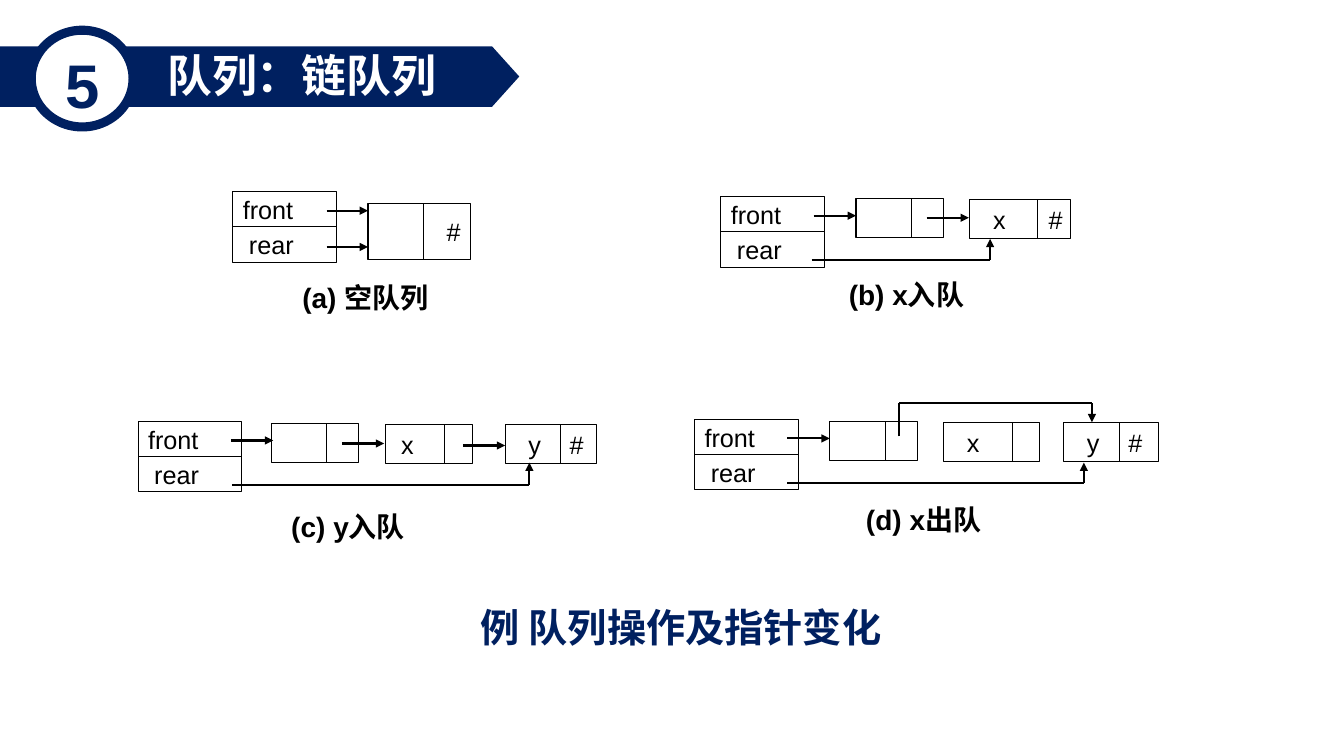
from dataclasses import dataclass

from lxml import etree
from pptx import Presentation
from pptx.dml.color import RGBColor
from pptx.enum.shapes import MSO_CONNECTOR, MSO_SHAPE
from pptx.enum.text import MSO_ANCHOR, MSO_AUTO_SIZE, PP_ALIGN
from pptx.oxml.ns import qn
from pptx.util import Inches, Pt

RECT, OVAL = MSO_SHAPE.RECTANGLE, MSO_SHAPE.OVAL
STRAIGHT = MSO_CONNECTOR.STRAIGHT
TOP, MIDDLE = MSO_ANCHOR.TOP, MSO_ANCHOR.MIDDLE
LEFT, CENTER = PP_ALIGN.LEFT, PP_ALIGN.CENTER
NO_FIT = MSO_AUTO_SIZE.NONE
HEX = {"navy": "002060", "white": "FFFFFF", "black": "000000"}
COLOR = {name: RGBColor.from_string(code) for name, code in HEX.items()}
LABEL = {"size": Pt(18), "bold": False, "name": "Arial"}
CAPTION = {"size": Pt(20), "bold": True, "name": "Arial"}
THIN, THICK = 0.75, 1.5
ROW_W, ROW_H = 1.03, 0.35

Point = tuple[float, float]
Box = tuple[float, float, float, float]


@dataclass
class Node:
    box: Box
    cut: float
    data: str = ""
    inset: float = 0.23
    link: str = ""
    gap: float = 0.09


@dataclass
class Queue:
    caption: str
    spot: Box
    head: Point
    nodes: list[Node]
    arrows: list[list[Point]]


QUEUES = [
    Queue("(a) 空队列", (2.9, 2.73, 1.34, 0.43), (2.31, 1.9),
          [Node((3.65, 2.02, 1.02, 0.55), 0.55, link="#", gap=0.23)],
          [[(3.24, 2.09), (3.65, 2.09)],
           [(3.24, 2.45), (3.65, 2.45)]]),
    Queue("(b) x入队", (8.32, 2.7, 1.34, 0.43), (7.15, 1.95),
          [Node((8.49, 1.97, 0.87, 0.39), 0.55),
           Node((9.62, 1.98, 1, 0.39), 0.67, "x", link="#", gap=0.11)],
          [[(8.07, 2.14), (8.49, 2.14)],
           [(9.19, 2.16), (9.61, 2.16)],
           [(8.05, 2.58), (9.82, 2.58), (9.82, 2.37)]]),
    Queue("(c) y入队", (2.79, 5.01, 1.49, 0.43), (1.37, 4.18),
          [Node((2.69, 4.2, 0.87, 0.39), 0.55),
           Node((3.82, 4.21, 0.87, 0.39), 0.59, "x", 0.16),
           Node((5.01, 4.21, 0.91, 0.39), 0.55, "y", link="#")],
          [[(2.29, 4.37), (2.71, 4.37)],
           [(3.39, 4.4), (3.81, 4.4)],
           [(4.59, 4.42), (5.01, 4.42)],
           [(2.3, 4.81), (5.25, 4.81), (5.25, 4.59)]]),
    Queue("(d) x出队", (8.49, 4.94, 1.49, 0.43), (6.89, 4.16),
          [Node((8.23, 4.18, 0.87, 0.39), 0.55),
           Node((9.36, 4.19, 0.95, 0.39), 0.68, "x"),
           Node((10.55, 4.19, 0.94, 0.39), 0.55, "y", link="#")],
          [[(7.81, 4.35), (8.23, 4.35)],
           [(8.92, 4.33), (8.92, 4), (10.83, 4), (10.83, 4.19)],
           [(7.81, 4.79), (10.75, 4.79), (10.75, 4.59)]]),
]


def write(shape, text: str, style: dict, color: str = "black",
          anchor=MIDDLE, align=LEFT, inset: float = 0.1) -> None:
    frame = shape.text_frame
    frame.text = text
    layout = {"word_wrap": False, "auto_size": NO_FIT,
              "vertical_anchor": anchor, "margin_left": Inches(inset),
              "margin_right": Inches(0.1), "margin_top": Inches(0.05),
              "margin_bottom": Inches(0.05)}
    for key, value in layout.items():
        setattr(frame, key, value)
    para = frame.paragraphs[0]
    para.alignment = align
    font = para.runs[0].font
    for key, value in style.items():
        setattr(font, key, value)
    font.color.rgb = COLOR[color]


def add_text(slide, box: Box, text: str, style: dict, **layout) -> None:
    shape = slide.shapes.add_textbox(*map(Inches, box))
    write(shape, text, style, **layout)


def add_rect(slide, box: Box, text: str = "", inset: float = 0.1) -> None:
    shape = slide.shapes.add_shape(RECT, *map(Inches, box))
    shape.shadow.inherit = False
    shape.fill.background()
    shape.line.color.rgb = COLOR["black"]
    shape.line.width = Pt(THIN)
    if text:
        write(shape, text, LABEL, inset=inset)


def add_line(slide, start: Point, end: Point, width: float,
             tip: bool = False) -> None:
    line = slide.shapes.add_connector(STRAIGHT, *map(Inches, start + end))
    line.line.color.rgb = COLOR["black"]
    line.line.width = Pt(width)
    if tip:
        mark = etree.SubElement(line.line._get_or_add_ln(), qn("a:tailEnd"))
        mark.set("type", "triangle")
    etree.SubElement(line._element.spPr, qn("a:effectLst"))


def add_arrow(slide, points: list[Point]) -> None:
    """Join the points with straight lines, with a tip on the last one."""
    for start, end in zip(points, points[1:]):
        add_line(slide, start, end, THICK, end == points[-1])


def add_node(slide, node: Node) -> None:
    left, top, width, height = node.box
    cut = left + node.cut
    add_rect(slide, node.box, node.data, node.inset)
    add_line(slide, (cut, top), (cut, top + height), THIN)
    if node.link:
        box = (cut, top, width - node.cut, height)
        add_text(slide, box, node.link, LABEL, inset=node.gap)


def add_queue(slide, queue: Queue) -> None:
    left, top = queue.head
    add_rect(slide, (left, top, ROW_W, ROW_H), "front")
    add_rect(slide, (left, top + ROW_H, ROW_W, ROW_H), "rear", 0.16)
    for node in queue.nodes:
        add_node(slide, node)
    for points in queue.arrows:
        add_arrow(slide, points)
    add_text(slide, queue.spot, queue.caption, CAPTION)


def add_header(slide) -> None:
    edge = [(4.88, 0.46), (5.15, 0.76), (4.88, 1.06), (0, 1.06)]
    build = slide.shapes.build_freeform(0, Inches(0.46))
    build.add_line_segments([(Inches(x), Inches(y)) for x, y in edge])
    banner = build.convert_to_shape()
    badge = slide.shapes.add_shape(
        OVAL, *map(Inches, (0.31, 0.3, 1.01, 0.96)))
    for shape, color in ((banner, "navy"), (badge, "white")):
        shape.shadow.inherit = False
        shape.fill.solid()
        shape.fill.fore_color.rgb = COLOR[color]
    banner.line.fill.background()
    badge.line.color.rgb = COLOR["navy"]
    badge.line.width = Pt(6.5)
    add_text(slide, (0.54, 0.42, 0.55, 0.8), "5",
             CAPTION | {"size": Pt(44)}, color="navy", anchor=TOP,
             align=CENTER)
    title = slide.shapes.title
    place = {"left": 1.55, "top": 0.42, "width": 2.89, "height": 0.64}
    for key, value in place.items():
        setattr(title, key, Inches(value))
    write(title, "队列：链队列", CAPTION | {"size": Pt(32)}, "white", TOP, CENTER)
    slide.shapes._spTree.append(title._element)


def main() -> None:
    deck = Presentation()
    deck.slide_width, deck.slide_height = Inches(13.33), Inches(7.5)
    slide = deck.slides.add_slide(deck.slide_layouts[5])
    add_header(slide)
    for queue in QUEUES:
        add_queue(slide, queue)
    add_text(slide, (4.67, 5.94, 4.23, 0.57), "例 队列操作及指针变化",
             {"size": Pt(28), "bold": True, "name": "Times New Roman"},
             color="navy", anchor=TOP)
    deck.save("out.pptx")


if __name__ == "__main__":
    main()
